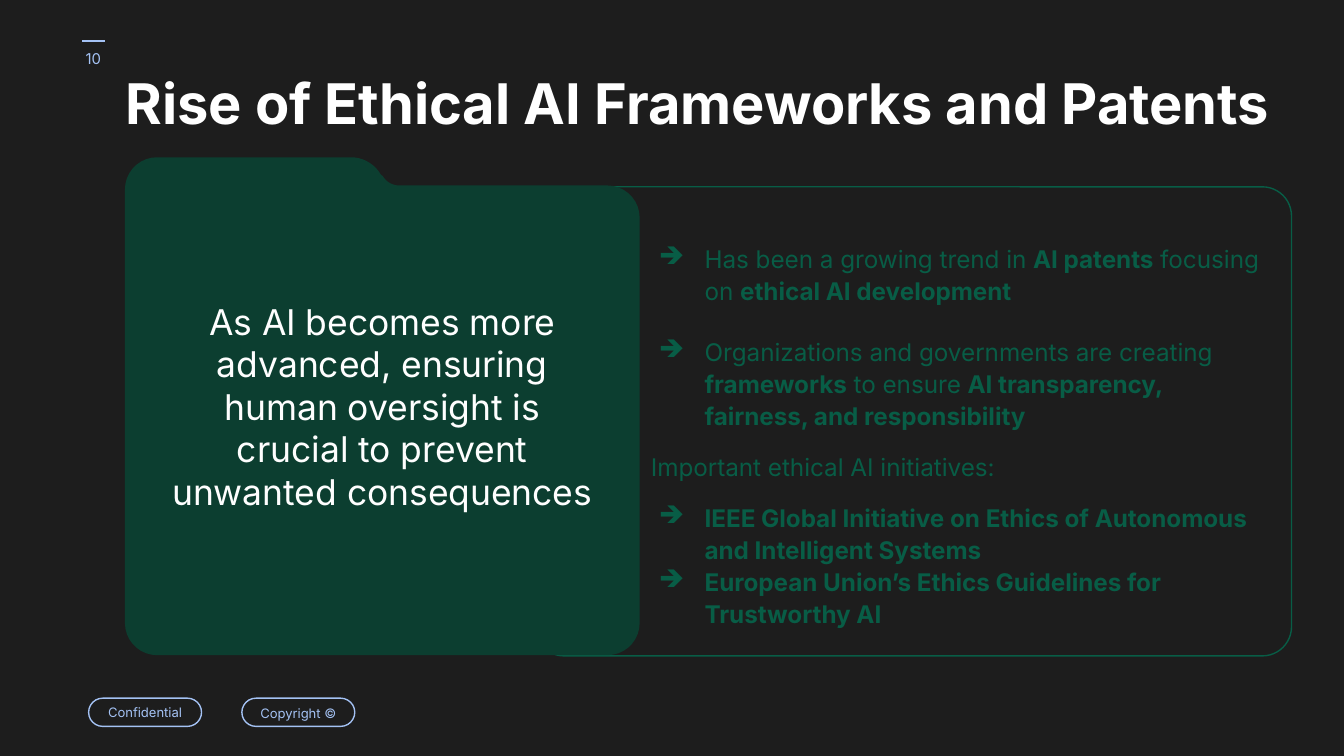
import math
from dataclasses import dataclass

from lxml import etree
from pptx import Presentation
from pptx import util as u
from pptx.dml.color import RGBColor
from pptx.enum import shapes, text
from pptx.oxml.ns import qn

EMU_PER_PX = 4572  # 200 px to the inch


@dataclass(frozen=True)
class Theme:
    font: str = "Inter"
    background: str = "1D1D1D"
    accent: str = "A4C2F4"
    folder: str = "0C3E30"
    panel: str = "085D46"
    folder_text: str = "FEFEFE"
    title_text: str = "FFFFFF"
    title: int = 30
    statement: int = 19
    body: int = 13
    number: int = 8
    tag: int = 7
    line: float = 0.75


def px(n):
    return u.Emu(round(n * EMU_PER_PX))


def rgb(value):
    return RGBColor.from_string(value)


def arc(cx, cy, r, start, end, steps=9):
    """Points in EMU along a circle; angles run clockwise from the right."""
    angles = [math.radians(start + (end - start) * i / steps) for i in range(steps + 1)]
    return [(px(cx + r * math.cos(a)), px(cy + r * math.sin(a))) for a in angles]


def add_bullet(p, char, color, left=100, hang=68):
    pPr = p._p.get_or_add_pPr()
    pPr.set("marL", str(px(left)))
    pPr.set("indent", str(-px(hang)))
    clr = etree.SubElement(pPr, qn("a:buClr"))
    etree.SubElement(clr, qn("a:srgbClr")).set("val", color)
    etree.SubElement(pPr, qn("a:buChar")).set("char", char)


def write(p, content, *, font, size, color, bold=False, align="LEFT",
          spacing=None, before=None, bullet=None, left=0):
    """Fill a paragraph; parts between ** marks are bold."""
    if bullet:
        add_bullet(p, bullet, color)
    elif left:
        p._p.get_or_add_pPr().set("marL", str(px(left)))
    p.alignment = getattr(text.PP_ALIGN, align)
    if spacing:
        p.line_spacing = spacing
    if before:
        p.space_before = u.Pt(before)
    for i, part in enumerate(content.split("**")):
        if part:
            r = p.add_run()
            r.text = part
            r.font.name = font
            r.font.size = u.Pt(size)
            r.font.bold = bold or i % 2 == 1
            r.font.color.rgb = rgb(color)


class Deck:
    def __init__(self, theme, width, height):
        self.theme = theme
        self.prs = Presentation()
        self.prs.slide_width, self.prs.slide_height = px(width), px(height)
        self.s = self.prs.slides.add_slide(self.prs.slide_layouts[6])
        self.s.background.fill.solid()
        self.s.background.fill.fore_color.rgb = rgb(theme.background)

    def frame(self, sp, paragraphs, insets=(20, 20, 20, 20), anchor="MIDDLE", **fmt):
        """Put (text, format) pairs into a shape; fmt holds what they share."""
        tf = sp.text_frame
        tf.word_wrap = True
        tf.vertical_anchor = getattr(text.MSO_ANCHOR, anchor)
        tf.margin_left, tf.margin_top, tf.margin_right, tf.margin_bottom = map(px, insets)
        for i, (content, own) in enumerate(paragraphs):
            p = tf.add_paragraph() if i else tf.paragraphs[0]
            write(p, content, **{"font": self.theme.font, **fmt, **own})

    def label(self, box, content, anchor="MIDDLE", **fmt):
        sp = self.s.shapes.add_textbox(*map(px, box))
        self.frame(sp, [(content, {})], anchor=anchor, align="CENTER", **fmt)

    def rounded(self, box, radius, line, paragraphs, **fmt):
        sp = self.s.shapes.add_shape(shapes.MSO_SHAPE.ROUNDED_RECTANGLE, *map(px, box))
        sp.adjustments[0] = radius
        sp.shadow.inherit = False
        sp.fill.background()
        sp.line.color.rgb = rgb(line)
        sp.line.width = u.Pt(self.theme.line)
        self.frame(sp, paragraphs, **fmt)

    def outline(self, points, fill, content, **fmt):
        builder = self.s.shapes.build_freeform(*points[0], scale=1.0)
        builder.add_line_segments(points[1:], close=True)
        sp = builder.convert_to_shape()
        sp.shadow.inherit = False
        sp.fill.solid()
        sp.fill.fore_color.rgb = rgb(fill)
        sp.line.fill.background()
        self.frame(sp, [(content, {})], **fmt)

    def rule(self, x1, y1, x2, y2, color):
        line = self.s.shapes.add_connector(shapes.MSO_CONNECTOR.STRAIGHT,
                                           *map(px, (x1, y1, x2, y2)))
        line.line.color.rgb = rgb(color)
        line.line.width = u.Pt(self.theme.line)
        etree.SubElement(line._element.spPr, qn("a:effectLst"))


def folder_points(left, top, right, bottom, shoulder, r=48):
    """A rounded card whose upper left part rises into a tab."""
    return (arc(left + r, top + r, r, 180, 270)
            + arc(522, top + 52, 52, 270, 330)
            + arc(594, shoulder - 28, 28, 150, 90)
            + arc(right - r, shoulder + r, r, 270, 360)
            + arc(right - r, bottom - r, r, 0, 90)
            + arc(left + r, bottom - r, r, 90, 180))


def main():
    t = Theme()
    deck = Deck(t, 2000, 1125)

    deck.rule(156, 61, 122, 61, t.accent)
    for x, tag, spacing in ((132, "Confidential", None), (360, "Copyright ©", 1.15)):
        deck.rounded((x, 1039, 168, 42), 0.5, t.accent, [(tag, {"spacing": spacing})],
                     size=t.tag, color=t.accent, align="CENTER")
    deck.label((92, 44, 94, 86), "10", size=t.number, color=t.accent)

    arrow = {"bullet": "➔"}
    points = [
        ("Has been a growing trend in **AI patents** focusing on "
         "**ethical AI development**", arrow),
        ("Organizations and governments are creating **frameworks** to ensure "
         "**AI transparency, fairness, and responsibility**", {**arrow, "before": 15.5}),
        ("Important ethical AI initiatives:", {"left": 20, "before": 10}),
        ("**IEEE Global Initiative on Ethics of Autonomous and Intelligent Systems**",
         {**arrow, "before": 10}),
        ("**European Union’s Ethics Guidelines for Trustworthy AI**", arrow),
    ]
    deck.rounded((796, 278, 1126, 698), 0.062, t.panel, points,
                 insets=(140, 40, 20, 0), size=t.body, color=t.panel, spacing=1.1)

    deck.outline(folder_points(186, 234, 952, 975, 276), t.folder,
                 "As AI becomes more advanced, ensuring human oversight is crucial "
                 "to prevent unwanted consequences",
                 insets=(60, 40, 60, 40), size=t.statement, color=t.folder_text,
                 align="CENTER")
    deck.label((122, 82, 1834, 154), "Rise of Ethical AI Frameworks and Patents",
               anchor="TOP", size=t.title, color=t.title_text, bold=True)

    deck.prs.save("out.pptx")


if __name__ == "__main__":
    main()
